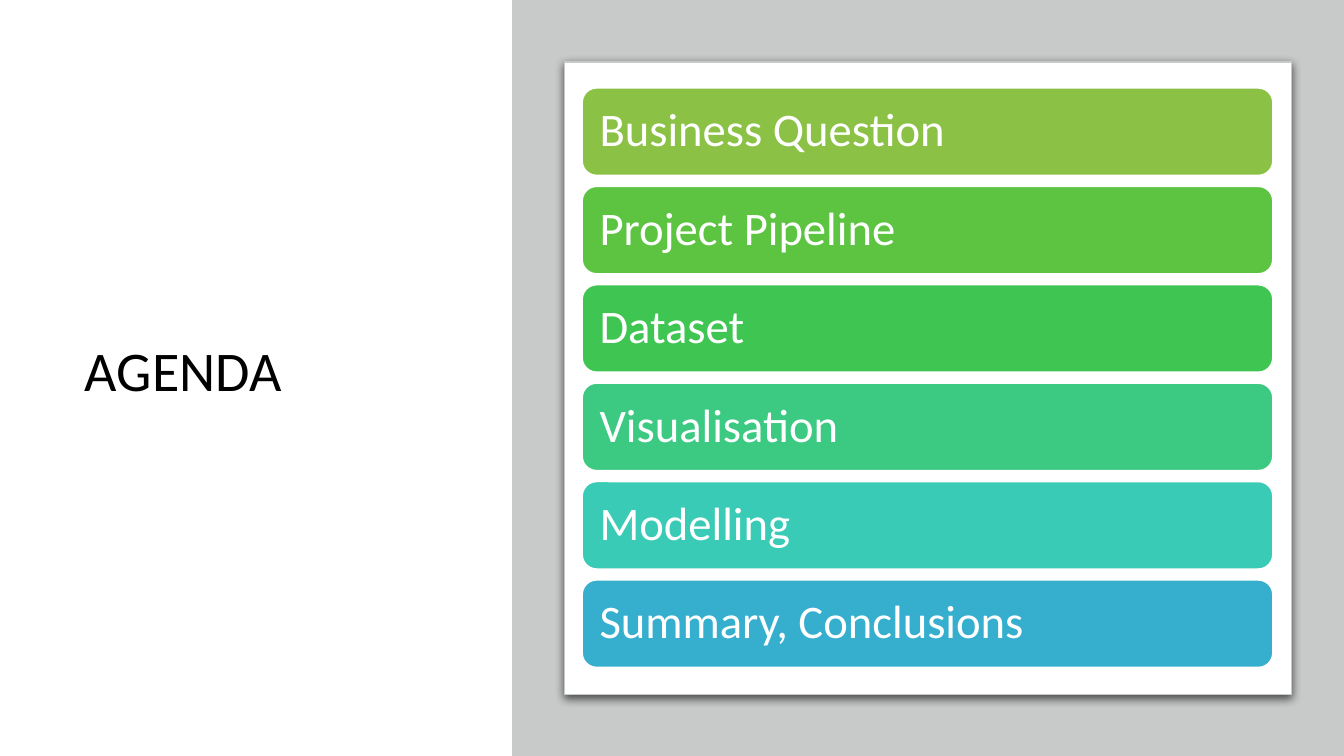
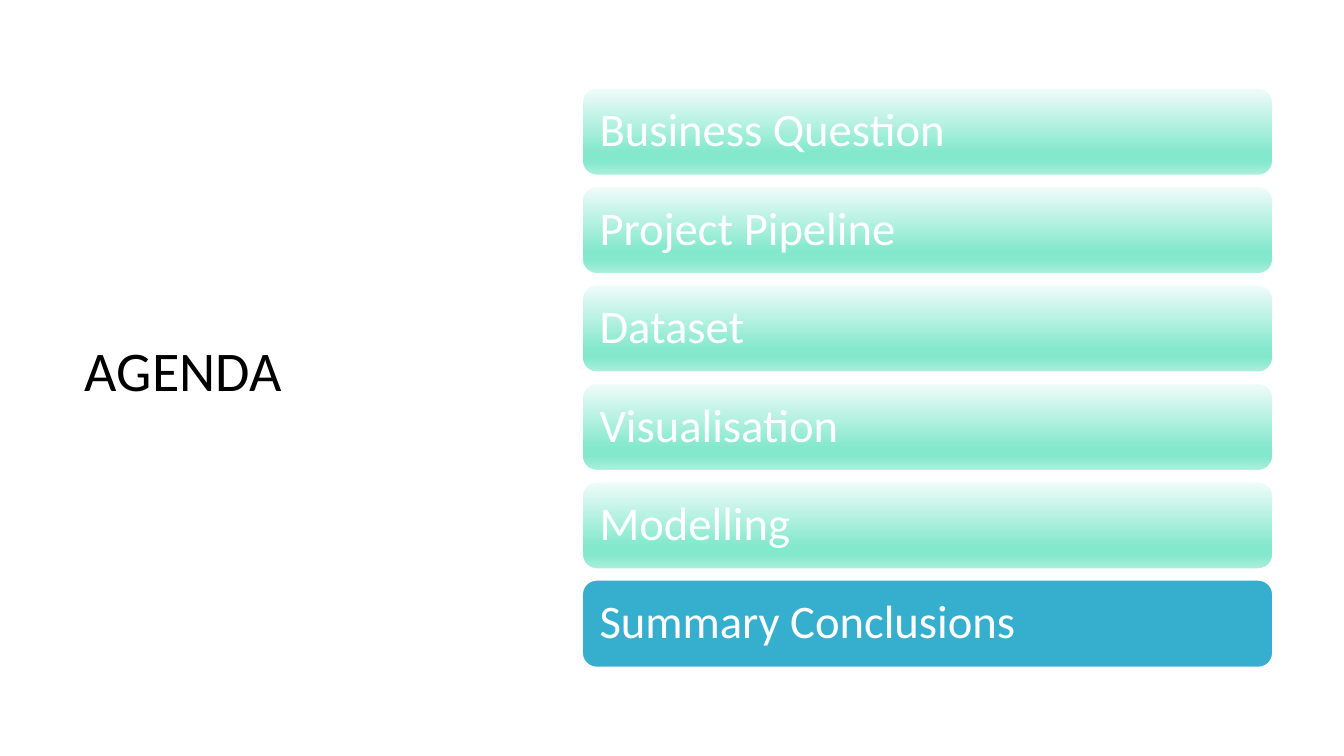
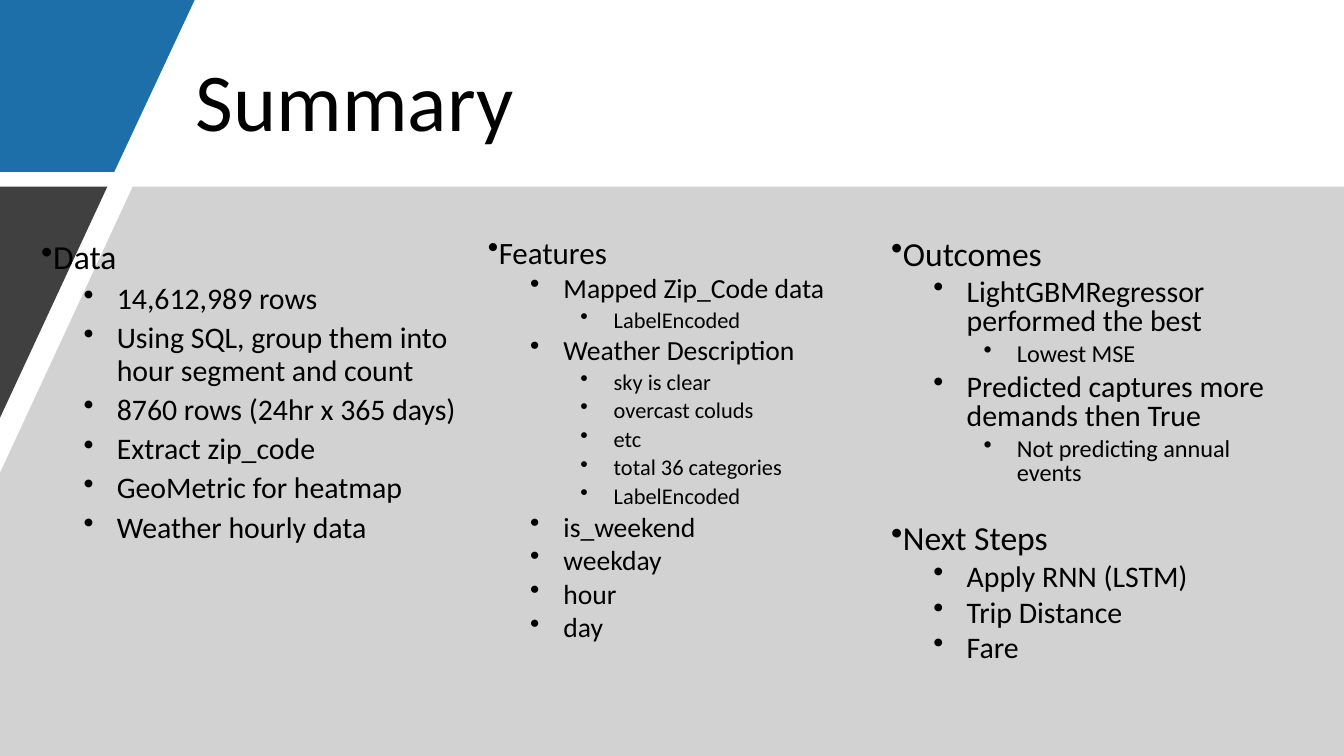
from lxml.etree import SubElement
from pptx import Presentation
from pptx.dml.color import RGBColor
from pptx.enum.shapes import MSO_SHAPE
from pptx.enum.text import MSO_ANCHOR, MSO_AUTO_SIZE, PP_ALIGN
from pptx.oxml.ns import qn
from pptx.util import Cm, Pt

FONT = "Calibri"
BLACK, WHITE, GREY = "000000", "FFFFFF", "C8CACA"
BLUE, DARK, BAND_GREY = "1D6FA9", "404040", "A6A6A6"
CURRENT = "36AFCE"
AGENDA_COLOURS = ["8BC145", "5DC442", "3FC652", "3CC982", "39CBB5", CURRENT]
FADED = [(0, "F1FCF9"), (74, "83E8CC"), (83, "83E8CC"), (100, "ACEFDD")]

WIDTH, HEIGHT = 25.4, 14.29
BAR_LEFT, BAR_TOP, BAR_WIDTH, BAR_HEIGHT, BAR_GAP = 11, 1.66, 13.06, 1.66, 0.2
BAND_TOP = 3.53

TOPICS = ["Business Question", "Project Pipeline", "Dataset", "Visualisation", "Modelling"]

# Each item is (level, text)
DATA = [
    (0, "Data"),
    (1, "14,612,989 rows"),
    (1, "Using SQL, group them into hour segment and count"),
    (1, "8760 rows (24hr x 365 days)"),
    (1, "Extract zip_code"),
    (1, "GeoMetric for heatmap"),
    (1, "Weather hourly data"),
]
FEATURES = [
    (0, "Features"),
    (1, "Mapped Zip_Code data"),
    (2, "LabelEncoded"),
    (1, "Weather Description"),
    (2, "sky is clear"),
    (2, "overcast coluds"),
    (2, "etc"),
    (2, "total 36 categories"),
    (2, "LabelEncoded"),
    (1, "is_weekend"),
    (1, "weekday"),
    (1, "hour"),
    (1, "day"),
]
OUTCOMES = [
    (0, "Outcomes"),
    (1, "LightGBMRegressor performed the best"),
    (2, "Lowest MSE"),
    (1, "Predicted captures more demands then True"),
    (2, "Not predicting annual events"),
    (0, "Next Steps"),
    (1, "Apply RNN (LSTM)"),
    (1, "Trip Distance"),
    (1, "Fare"),
]


def colour(value):
    return RGBColor.from_string(value)


def write(paragraph, text, size=18, color=BLACK, line_spacing=0.9, space_before=0):
    paragraph.alignment = PP_ALIGN.LEFT
    paragraph.line_spacing = line_spacing
    paragraph.space_before = Pt(space_before)
    run = paragraph.add_run()
    run.text = text
    run.font.name = FONT
    run.font.size = Pt(size)
    run.font.color.rgb = colour(color)


def add_titled_slide(presentation, title, left, top, width, height, size):
    slide = presentation.slides.add_slide(presentation.slide_layouts[5])
    shape = slide.shapes.title
    shape.left, shape.top, shape.width, shape.height = map(Cm, (left, top, width, height))
    frame = shape.text_frame
    frame.word_wrap = True
    frame.auto_size = MSO_AUTO_SIZE.NONE
    frame.vertical_anchor = MSO_ANCHOR.MIDDLE
    write(frame.paragraphs[0], title, size=size)
    return slide


def paint(shape, fill, line=None, line_width=1):
    shape.shadow.inherit = False
    shape.fill.solid()
    shape.fill.fore_color.rgb = colour(fill)
    if line:
        shape.line.color.rgb = colour(line)
        shape.line.width = Pt(line_width)
    else:
        shape.line.fill.background()


def paint_gradient(shape, stops):
    """Fill from top to bottom with (percent, colour) stops."""
    shape.fill.gradient()
    shape.fill.gradient_angle = 270
    stop_list = shape.element.spPr.find(qn("a:gradFill")).find(qn("a:gsLst"))
    for stop in list(stop_list):
        stop_list.remove(stop)
    for percent, value in stops:
        stop = SubElement(stop_list, qn("a:gs"), pos=str(percent * 1000))
        SubElement(stop, qn("a:srgbClr"), val=value)


def add_rectangle(slide, left, top, width, height, fill, kind=MSO_SHAPE.RECTANGLE, **line):
    shape = slide.shapes.add_shape(kind, Cm(left), Cm(top), Cm(width), Cm(height))
    paint(shape, fill, **line)
    return shape


def add_panel(slide):
    """Grey backdrop with a white, shadowed card."""
    add_rectangle(slide, 9.68, 0, WIDTH - 9.68, HEIGHT, GREY)
    card = add_rectangle(slide, 10.67, 1.17, 13.74, 11.96, WHITE, line=GREY, line_width=0.75)
    effects = card.element.spPr.find(qn("a:effectLst"))
    shadow = SubElement(effects, qn("a:outerShdw"), blurRad=str(Pt(4.5)),
                        dist=str(Pt(1.5)), dir="5400000", rotWithShape="0")
    shadow_colour = SubElement(shadow, qn("a:srgbClr"), val=BLACK)
    SubElement(shadow_colour, qn("a:alpha"), val="63000")


def add_agenda_bars(slide, topics, colours):
    """Stack one bar per topic; a colour of None gives a faded bar."""
    for row, (topic, fill) in enumerate(zip(topics, colours)):
        top = BAR_TOP + row * (BAR_HEIGHT + BAR_GAP)
        bar = add_rectangle(slide, BAR_LEFT, top, BAR_WIDTH, BAR_HEIGHT, fill or WHITE,
                            kind=MSO_SHAPE.ROUNDED_RECTANGLE, line=WHITE)
        if fill is None:
            paint_gradient(bar, FADED)
        frame = bar.text_frame
        frame.word_wrap = True
        frame.vertical_anchor = MSO_ANCHOR.MIDDLE
        frame.margin_left = frame.margin_right = Cm(0.25)
        write(frame.paragraphs[0], topic, size=25, color=WHITE)


def add_polygon(slide, points, fill, alpha=None):
    corners = [(Cm(x), Cm(y)) for x, y in points]
    builder = slide.shapes.build_freeform(*corners[0])
    builder.add_line_segments(corners[1:], close=True)
    shape = builder.convert_to_shape()
    paint(shape, fill)
    if alpha:
        fill_colour = shape.element.spPr.find(qn("a:solidFill"))[0]
        SubElement(fill_colour, qn("a:alpha"), val=str(alpha * 1000))


def add_bullet(paragraph, level):
    paragraph.level = level
    properties = paragraph._p.get_or_add_pPr()
    properties.set("marL", str(Cm((0, 1.43, 2.38)[level])))
    properties.set("indent", str(Cm(-0.63)))
    SubElement(properties, qn("a:buChar"), char="•")


def add_bullet_column(slide, left, width, items, sizes, line_spacing):
    """Write a bulleted column; sizes holds one text size per level."""
    box = slide.shapes.add_textbox(Cm(left), Cm(4.42), Cm(width), Cm(8.41))
    frame = box.text_frame
    frame.word_wrap = True
    for index, (level, text) in enumerate(items):
        paragraph = frame.add_paragraph() if index else frame.paragraphs[0]
        add_bullet(paragraph, level)
        if index == 0:
            space, spacing = 0, line_spacing
        elif level == 0:
            space, spacing = 19, 0.9
        else:
            space, spacing = 3.8, line_spacing
        write(paragraph, text, size=sizes[level], line_spacing=spacing, space_before=space)


def add_agenda_slide(presentation):
    return add_titled_slide(presentation, "AGENDA", 1.35, 1.32, 7.65, 11.48, 30)


def add_summary_slide(presentation):
    slide = add_titled_slide(presentation, "Summary", 3.45, 0.76, 19.51, 2.46, 44)
    add_polygon(slide, [(0, 0), (3.68, 0), (2.16, 3.25), (0, 3.25)], BLUE)
    add_polygon(slide, [(2.51, BAND_TOP), (WIDTH, BAND_TOP), (WIDTH, HEIGHT),
                        (0, HEIGHT), (0, 8.94)], BAND_GREY, alpha=50)
    add_polygon(slide, [(0, BAND_TOP), (2.03, BAND_TOP), (0, 7.9)], DARK)
    add_bullet_column(slide, 0.53, 8.43, DATA, (18, 16), 0.9)
    add_bullet_column(slide, 8.97, 7.62, FEATURES, (16.6, 14.8, 12), 0.8)
    add_bullet_column(slide, 16.59, 7.62, OUTCOMES, (18, 16, 13), 0.8)


def main():
    presentation = Presentation()
    presentation.slide_width, presentation.slide_height = Cm(WIDTH), Cm(HEIGHT)

    agenda = add_agenda_slide(presentation)
    add_panel(agenda)
    add_agenda_bars(agenda, TOPICS + ["Summary, Conclusions"], AGENDA_COLOURS)

    progress = add_agenda_slide(presentation)
    add_agenda_bars(progress, TOPICS + ["Summary Conclusions"], [None] * len(TOPICS) + [CURRENT])

    add_summary_slide(presentation)
    presentation.save("out.pptx")


if __name__ == "__main__":
    main()
